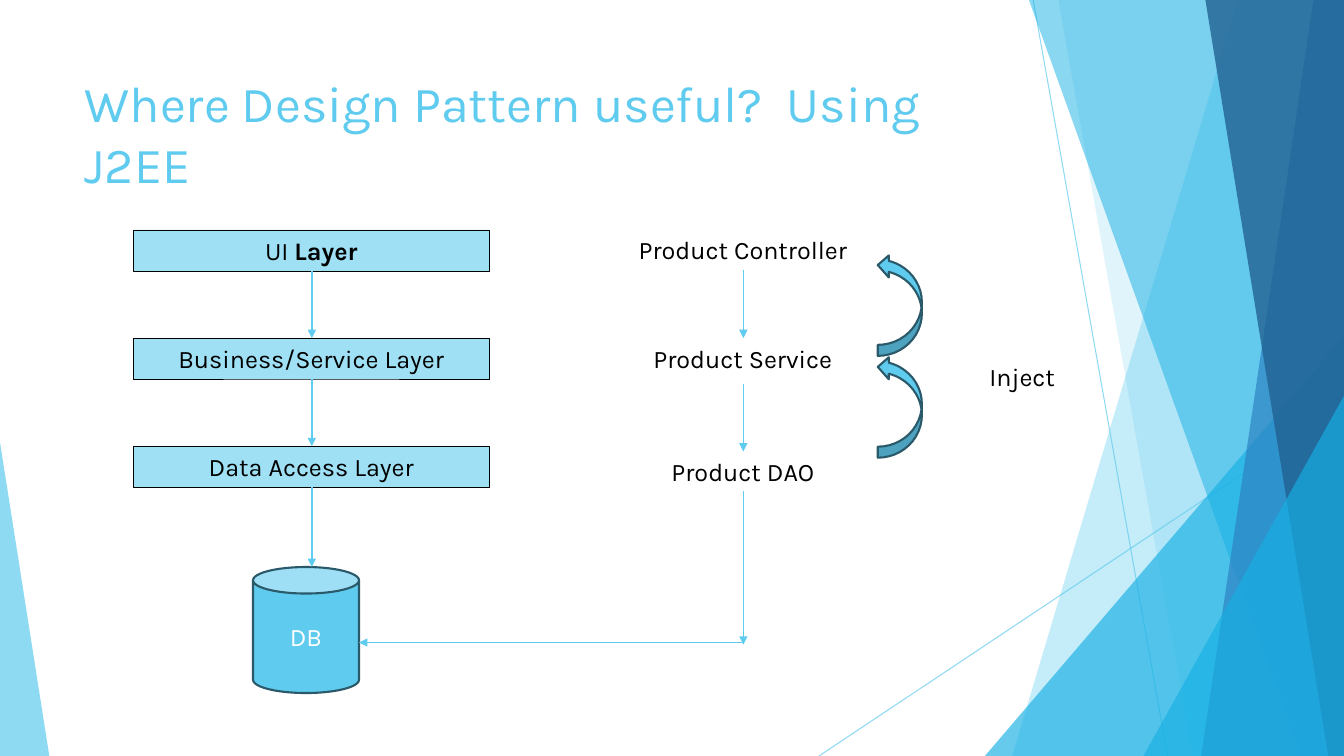
from lxml import etree
from pptx import Presentation
from pptx.dml.color import RGBColor
from pptx.enum.shapes import MSO_CONNECTOR, MSO_SHAPE
from pptx.enum.text import MSO_ANCHOR, MSO_AUTO_SIZE, PP_ALIGN
from pptx.oxml.ns import qn
from pptx.util import Pt

PX = 9525
WIDE, HIGH = 1280, 720
FONT = "Karla"

SKY = RGBColor(0x5F, 0xCB, 0xEF)
PALE = RGBColor(0x9F, 0xE0, 0xF5)
CYAN = RGBColor(0x17, 0xB0, 0xE4)
BLUE = RGBColor(0x2E, 0x83, 0xC3)
NAVY = RGBColor(0x22, 0x62, 0x92)
EDGE = RGBColor(0x2A, 0x59, 0x69)
BLACK = RGBColor(0, 0, 0)
WHITE = RGBColor(0xFF, 0xFF, 0xFF)

RECT, CAN = MSO_SHAPE.RECTANGLE, MSO_SHAPE.CAN
WEDGE, CURVE = MSO_SHAPE.ISOSCELES_TRIANGLE, MSO_SHAPE.CURVED_LEFT_ARROW
LINE = MSO_CONNECTOR.STRAIGHT
TOP, MIDDLE = MSO_ANCHOR.TOP, MSO_ANCHOR.MIDDLE
LEFT, CENTER = PP_ALIGN.LEFT, PP_ALIGN.CENTER
FIXED, GROW = MSO_AUTO_SIZE.NONE, MSO_AUTO_SIZE.SHAPE_TO_FIT_TEXT

BOX_W, BOX_H = 339, 39
LAYER_X, LAYER_Y, STEP = 127, 219, 103
LAYERS = [
    [("UI ", False), ("Layer", True)],
    [("Business/Service Layer", False)],
    [("Data Access Layer", False)],
]
LABELS = [
    ("Product Controller", 538, 218),
    ("Product Service", 538, 322),
    ("Product DAO", 538, 430),
    ("Inject", 804, 339),
]
ARROWS = [
    (297, 258, 297, 322),
    (297, 361, 297, 425),
    (297, 464, 297, 540),
    (708, 257, 708, 322),
    (708, 366, 708, 430),
    (708, 468, 708, 614),
    (708, 612, 342, 612),
]


def emu(*nums):
    return [num * PX for num in nums]


def paint(shape, fill, edge=None, width=0):
    shape.shadow.inherit = False
    shape.fill.solid()
    shape.fill.fore_color.rgb = fill
    if edge is None:
        shape.line.fill.background()
    else:
        shape.line.color.rgb = edge
        shape.line.width = Pt(width)


def fade(shape, alpha):
    """Set the opacity, in percent, of the first colour of a shape."""
    color = shape.element.spPr.find(".//" + qn("a:srgbClr"))
    etree.SubElement(color, qn("a:alpha"), val=str(alpha * 1000))


def write(shape, runs, size=18, color=BLACK, align=CENTER, anchor=TOP, fit=GROW):
    frame = shape.text_frame
    frame.word_wrap = True
    frame.auto_size = fit
    frame.vertical_anchor = anchor
    para = frame.paragraphs[0]
    para.alignment = align
    for text, bold in runs:
        run = para.add_run()
        run.text = text
        run.font.name = FONT
        run.font.size = Pt(size)
        run.font.bold = bold
        run.font.color.rgb = color


def draw_line(shapes, ends, width):
    line = shapes.add_connector(LINE, *emu(*ends))
    line.line.color.rgb = SKY
    line.line.width = Pt(width)
    etree.SubElement(line.element.spPr, qn("a:effectLst"))
    return line


def draw_arrow(shapes, ends):
    line = draw_line(shapes, ends, 1)
    stroke = line.element.spPr.find(qn("a:ln"))
    etree.SubElement(stroke, qn("a:tailEnd"), type="triangle")


def draw_band(shapes, top, base, color, alpha):
    """Fill the area from a slanted left edge to the right slide edge."""
    pen = shapes.build_freeform(top, 0, scale=PX)
    pen.add_line_segments([(WIDE, 0), (WIDE, HIGH), (base, HIGH)], close=True)
    band = pen.convert_to_shape()
    paint(band, color)
    fade(band, alpha)


def draw_wedge(shapes, left, top, width, peak, color, alpha):
    """Draw a triangle standing on the bottom edge, its peak at 0 or 1."""
    wedge = shapes.add_shape(WEDGE, *emu(left, top, width, HIGH - top))
    wedge.adjustments[0] = peak
    paint(wedge, color)
    fade(wedge, alpha)


def draw_decor(shapes):
    for ends in [(984, 0, 1112, HIGH), (WIDE, 387, 780, HIGH)]:
        fade(draw_line(shapes, ends, 0.75), 70)
    draw_band(shapes, 1179, 964, SKY, 36)
    draw_band(shapes, 1008, 1136, SKY, 20)
    draw_wedge(shapes, 938, 320, 342, 1, CYAN, 66)
    draw_band(shapes, 980, 1239, CYAN, 50)
    draw_band(shapes, 1251, 1144, BLUE, 70)
    draw_band(shapes, 1148, 1265, NAVY, 80)
    draw_wedge(shapes, 1089, 377, 191, 1, CYAN, 66)
    draw_wedge(shapes, 0, 421, 47, 0, SKY, 70)


def set_title(shapes, text):
    title = shapes.title
    title.left, title.top, title.width, title.height = emu(71, 64, 902, 138)
    write(title, [(text, False)], 36, SKY, LEFT, TOP, FIXED)
    shapes.element.append(title.element)


def draw_layer(shapes, top, runs):
    box = shapes.add_shape(RECT, *emu(LAYER_X, top, BOX_W, BOX_H))
    paint(box, PALE, BLACK, 0.25)
    write(box, runs)


def draw_store(shapes):
    store = shapes.add_shape(CAN, *emu(241, 540, 101, 120))
    paint(store, SKY, EDGE, 1.5)
    write(store, [("DB", False)], color=WHITE, anchor=MIDDLE, fit=FIXED)


def draw_label(shapes, text, left, top):
    label = shapes.add_textbox(*emu(left, top, BOX_W, BOX_H))
    write(label, [(text, False)])


def draw_curve(shapes, top):
    curve = shapes.add_shape(CURVE, *emu(836, top, 42, 97))
    curve.element.spPr.xfrm.set("flipV", "1")
    paint(curve, SKY, EDGE, 1.5)


def main():
    deck = Presentation()
    deck.slide_width, deck.slide_height = emu(WIDE, HIGH)
    shapes = deck.slides.add_slide(deck.slide_layouts[5]).shapes
    draw_decor(shapes)
    set_title(shapes, "Where Design Pattern useful?  Using J2EE")
    for row, runs in enumerate(LAYERS):
        draw_layer(shapes, LAYER_Y + row * STEP, runs)
    draw_store(shapes)
    for ends in ARROWS:
        draw_arrow(shapes, ends)
    for label in LABELS:
        draw_label(shapes, *label)
    for top in (242, 339):
        draw_curve(shapes, top)
    deck.save("out.pptx")


if __name__ == "__main__":
    main()
